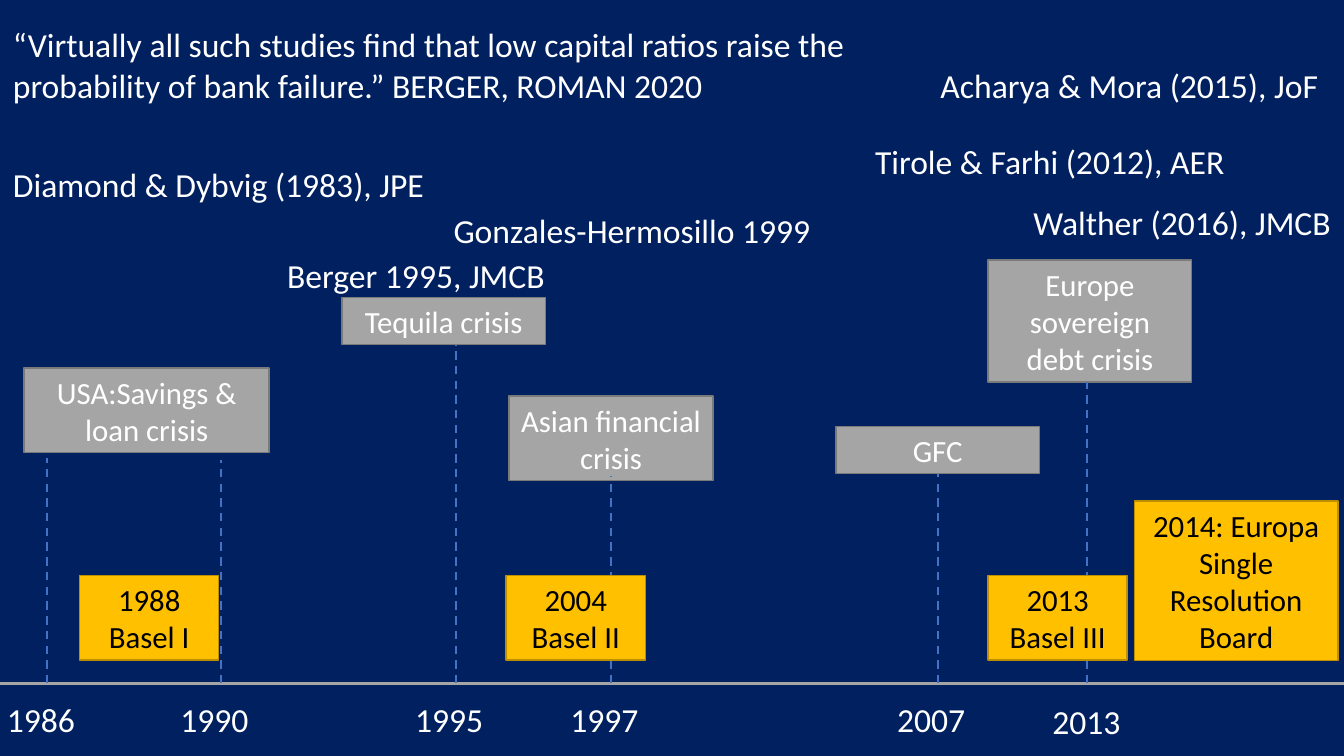
"""Build a timeline slide of bank crises, Basel accords and studies."""
from dataclasses import dataclass

from lxml import etree
from pptx import Presentation
from pptx.dml.color import RGBColor
from pptx.enum.dml import MSO_LINE
from pptx.enum.shapes import MSO_CONNECTOR, MSO_SHAPE
from pptx.enum.text import MSO_ANCHOR, PP_ALIGN
from pptx.oxml.ns import qn
from pptx.util import Inches, Pt

RECT = MSO_SHAPE.RECTANGLE
STRAIGHT = MSO_CONNECTOR.STRAIGHT
DASH = MSO_LINE.DASH
CENTER = PP_ALIGN.CENTER
LEFT = PP_ALIGN.LEFT
MIDDLE = MSO_ANCHOR.MIDDLE
BLANK = 6
WIDTH, HEIGHT = 13.33, 7.5
AXIS = 6.78
ROW = 6.88


@dataclass(frozen=True)
class Theme:
    """Hold the colours, font and type sizes."""
    font: str = "Calibri"
    text: int = 24
    label: int = 22
    navy: str = "002060"
    white: str = "FFFFFF"
    black: str = "000000"
    blue: str = "4472C4"
    grey: str = "A5A5A5"
    slate: str = "7A7A7A"
    gold: str = "FFC000"
    brown: str = "BD8E00"


THEME = Theme()
CRISIS = (THEME.grey, THEME.slate, THEME.white)
ACCORD = (THEME.gold, THEME.brown, THEME.black)

QUOTE = ("\u201cVirtually all such studies find that low capital ratios raise the",
         "probability of bank failure.\u201d BERGER, ROMAN 2020")

STUDIES = [
    ("Diamond & Dybvig (1983), JPE", 0.03, 1.58, 4.32),
    ("Gonzales-Hermosillo 1999", 4.4, 2.03, 4.32),
    ("Berger 1995, JMCB", 2.75, 2.48, 4.32),
    ("Tirole & Farhi (2012), AER", 8.58, 1.35, 3.81),
    ("Walther (2016), JMCB", 10.15, 1.95, 3.28),
    ("Acharya & Mora (2015), JoF", 9.23, 0.59, 4.1),
]

CRISES = [
    ("USA:Savings & loan crisis", 0.24, 3.65, 2.43, 0.84),
    ("Tequila crisis", 3.39, 2.95, 2.02, 0.47),
    ("Asian financial crisis", 5.05, 3.93, 2.02, 0.84),
    ("GFC", 8.29, 4.23, 2.02, 0.47),
    ("Europe sovereign debt crisis", 9.8, 2.58, 2.02, 1.21),
]

ACCORDS = [
    ("1988 Basel I", 0.79, 5.71, 1.38, 0.84),
    ("2004 Basel II", 5.02, 5.71, 1.38, 0.84),
    ("2013 Basel III", 9.8, 5.71, 1.38, 0.84),
    ("2014: Europa Single Resolution Board", 11.25, 4.97, 2.02, 1.58),
]

YEARS = [
    ("1986", 0.47, 4.54, 0, 0),
    ("1990", 2.19, 4.56, 0, 0),
    ("1995", 4.52, 3.42, 0, 0),
    ("1997", 6.06, 4.72, 0, 0),
    ("2007", 9.3, 4.7, 0, 0),
    ("2013", 10.78, 3.79, 0.06, 0.02),
]


def color(code):
    """Turn a hex code into a colour."""
    return RGBColor.from_string(code)


def write(frame, lines, size, ink, align=LEFT):
    """Fill a text frame with one paragraph, one run per line."""
    frame.word_wrap = True
    para = frame.paragraphs[0]
    para.alignment = align
    for index, line in enumerate(lines):
        if index:
            para.add_line_break()
        run = para.add_run()
        run.text = line
        run.font.name = THEME.font
        run.font.size = Pt(size)
        run.font.color.rgb = color(ink)


def add_text(slide, lines, left, top, width, height=0.5):
    """Add a plain white text box."""
    box = slide.shapes.add_textbox(*map(Inches, (left, top, width, height)))
    write(box.text_frame, lines, THEME.text, THEME.white)


def add_box(slide, style, text, *place):
    """Add a filled box with a centred label."""
    fill, edge, ink = style
    box = slide.shapes.add_shape(RECT, *map(Inches, place))
    box.shadow.inherit = False
    box.fill.solid()
    box.fill.fore_color.rgb = color(fill)
    box.line.color.rgb = color(edge)
    box.line.width = Pt(1)
    box.text_frame.vertical_anchor = MIDDLE
    write(box.text_frame, [text], THEME.label, ink, CENTER)


def add_line(slide, ends, code, weight, dash=None):
    """Add a straight line without a shadow."""
    line = slide.shapes.add_connector(STRAIGHT, *map(Inches, ends))
    line.line.color.rgb = color(code)
    line.line.width = Pt(weight)
    if dash:
        line.line.dash_style = dash
    etree.SubElement(line._element.spPr, qn("a:effectLst"))


def add_year(slide, year, stem, top, right, down):
    """Add a dashed stem above the axis and its year below."""
    add_line(slide, (stem, AXIS, stem, top), THEME.blue, 1.5, DASH)
    add_text(slide, [year], stem - 0.5 + right, ROW + down, 1)


def main():
    """Build and save the slide."""
    deck = Presentation()
    deck.slide_width, deck.slide_height = Inches(WIDTH), Inches(HEIGHT)
    slide = deck.slides.add_slide(deck.slide_layouts[BLANK])
    slide.background.fill.solid()
    slide.background.fill.fore_color.rgb = color(THEME.navy)

    add_line(slide, (0, AXIS, WIDTH, AXIS), THEME.grey, 2.5)
    add_text(slide, QUOTE, 0.03, 0.19, 9, 0.91)
    for study in STUDIES:
        add_text(slide, [study[0]], *study[1:])
    for crisis in CRISES:
        add_box(slide, CRISIS, *crisis)
    for year in YEARS:
        add_year(slide, *year)
    for accord in ACCORDS:
        add_box(slide, ACCORD, *accord)
    deck.save("out.pptx")


main()
